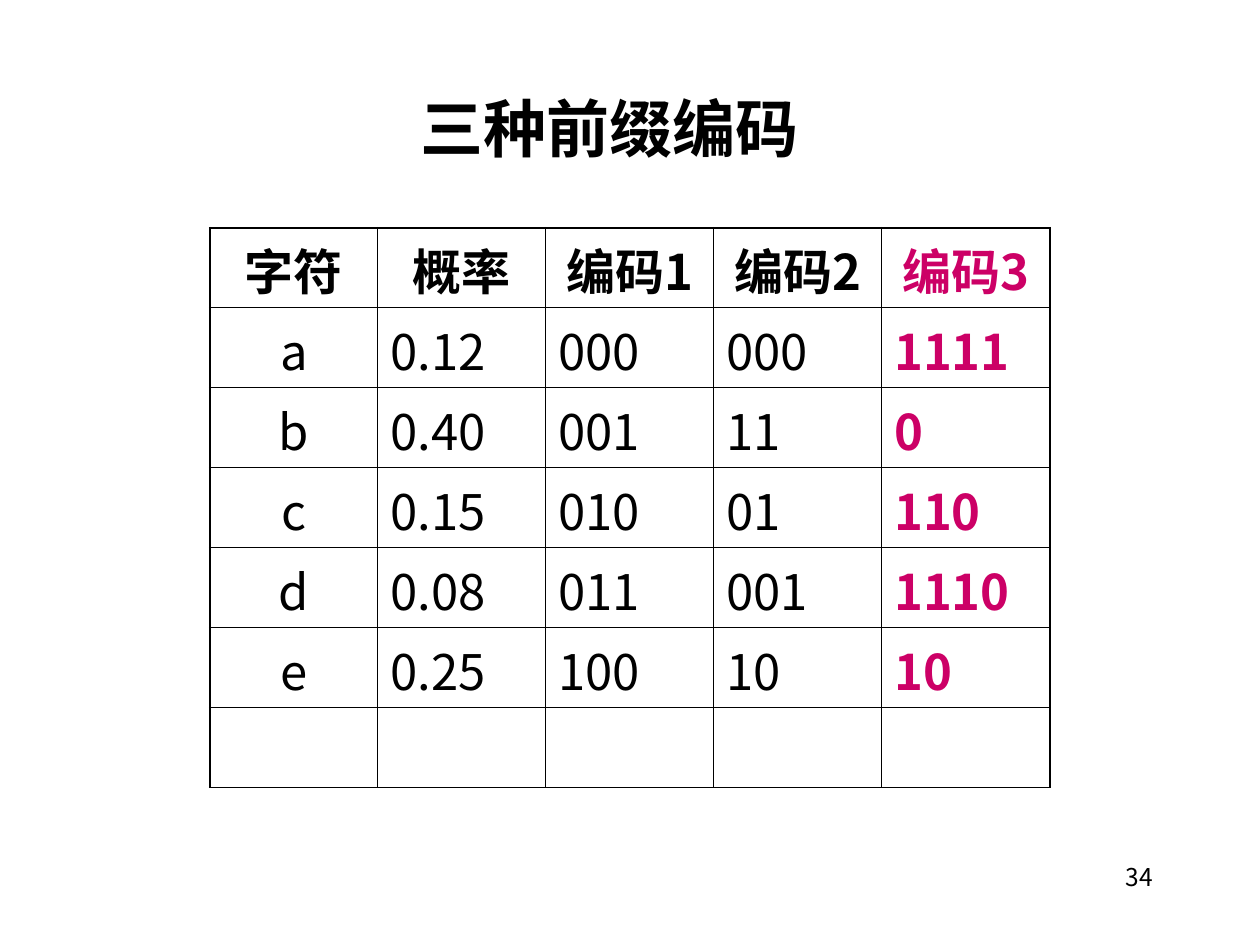
from dataclasses import dataclass

from lxml import etree
from pptx import Presentation, util as u
from pptx.dml.color import RGBColor
from pptx.enum import text
from pptx.oxml import ns


@dataclass(frozen=True)
class Theme:
    font: str = "Noto Sans CJK JP"
    ink: str = "000000"
    accent: str = "CC0066"
    title_size: int = 36
    table_size: int = 28
    number_size: int = 14
    outer_line: float = 1.08
    inner_line: float = 0.45


THEME = Theme()
LEFT, CENTER, RIGHT = text.PP_ALIGN.LEFT, text.PP_ALIGN.CENTER, text.PP_ALIGN.RIGHT

CODES = [
    ("字符", "概率", "编码1", "编码2", "编码3"),
    ("a", "0.12", "000", "000", "1111"),
    ("b", "0.40", "001", "11", "0"),
    ("c", "0.15", "010", "01", "110"),
    ("d", "0.08", "011", "001", "1110"),
    ("e", "0.25", "100", "10", "10"),
    ("", "", "", "", ""),
]


def write(frame, words, size, color=THEME.ink, bold=False, align=LEFT):
    paragraph = frame.paragraphs[0]
    paragraph.alignment = align
    run = paragraph.add_run()
    run.text = words
    run.font.size = u.Pt(size)
    run.font.bold = bold
    run.font.color.rgb = RGBColor.from_string(color)
    run.font.name = THEME.font
    east_asian = etree.SubElement(run.font._element, ns.qn("a:ea"))
    east_asian.set("typeface", THEME.font)


def add_label(slide, words, left, top, width, height, **style):
    frame = slide.shapes.add_textbox(
        u.Cm(left), u.Cm(top), u.Cm(width), u.Cm(height)).text_frame
    frame.word_wrap = True
    write(frame, words, **style)
    return frame


def set_border(cell, side, weight):
    """Draw one side of a cell; call in the order L, R, T, B."""
    line = etree.SubElement(cell._tc.get_or_add_tcPr(), ns.qn(f"a:ln{side}"))
    line.set("w", str(int(u.Pt(weight))))
    fill = etree.SubElement(line, ns.qn("a:solidFill"))
    etree.SubElement(fill, ns.qn("a:srgbClr")).set("val", THEME.ink)


def add_code_table(slide, left, top, width, height):
    row_count, column_count = len(CODES), len(CODES[0])
    table = slide.shapes.add_table(
        row_count, column_count,
        u.Cm(left), u.Cm(top), u.Cm(width), u.Cm(height)).table
    table.first_row = table.horz_banding = False
    last_row, last_column = row_count - 1, column_count - 1

    for r, values in enumerate(CODES):
        for c, value in enumerate(values):
            cell = table.cell(r, c)
            cell.margin_bottom = 0
            on_edge = {"L": c == 0, "R": c == last_column,
                       "T": r == 0, "B": r == last_row}
            for side, outer in on_edge.items():
                set_border(cell, side, THEME.outer_line if outer else THEME.inner_line)
            cell.fill.background()
            if value:
                write(cell.text_frame, value, THEME.table_size,
                      color=THEME.accent if c == last_column else THEME.ink,
                      bold=r == 0 or c == last_column,
                      align=CENTER if r == 0 or c == 0 else LEFT)


def main():
    deck = Presentation()
    deck.slide_width, deck.slide_height = u.Cm(25.4), u.Cm(19.05)
    slide = deck.slides.add_slide(deck.slide_layouts[6])

    title = add_label(slide, "三种前缀编码", 6.15, 1.8, 12.27, 1.84,
                      size=THEME.title_size, bold=True, align=CENTER)
    title.margin_top = title.margin_bottom = 0
    add_code_table(slide, 4.23, 4.59, 16.93, 11.29)
    add_label(slide, "34", 18.2, 17.25, 5.29, 1.27,
              size=THEME.number_size, align=RIGHT)
    deck.save("out.pptx")


if __name__ == "__main__":
    main()
